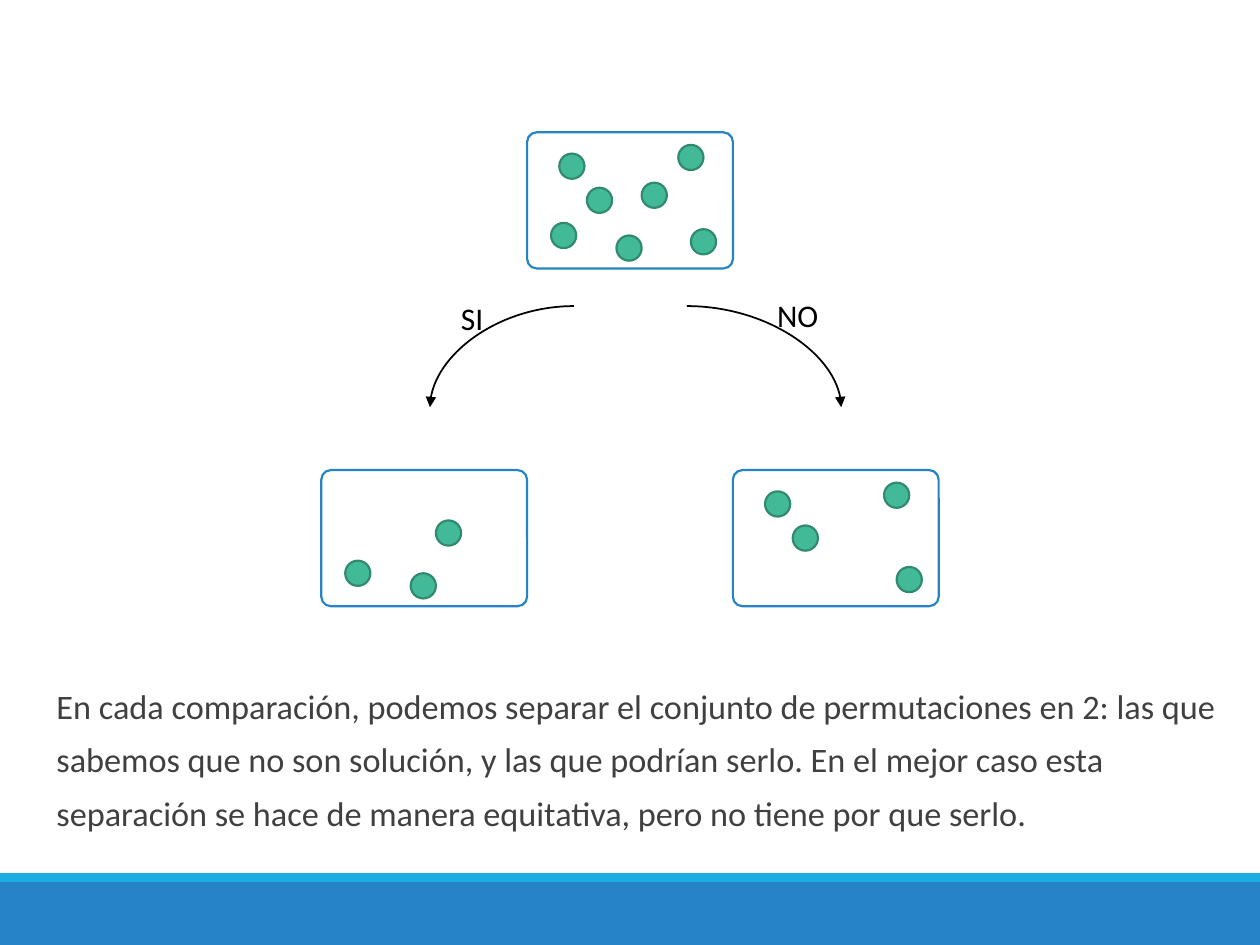
from lxml import etree
from pptx import Presentation
from pptx.dml.color import RGBColor
from pptx.enum.shapes import MSO_CONNECTOR, MSO_SHAPE
from pptx.enum.text import MSO_ANCHOR, MSO_AUTO_SIZE
from pptx.oxml.ns import qn
from pptx.util import Pt

RECT, ROUND, OVAL = MSO_SHAPE.RECTANGLE, MSO_SHAPE.ROUNDED_RECTANGLE, MSO_SHAPE.OVAL
CURVE = MSO_CONNECTOR.CURVE
BOTTOM, TOP = MSO_ANCHOR.BOTTOM, MSO_ANCHOR.TOP

THEME = {
    "font": "Calibri", "label_size": 18, "body_size": 19.6,
    "band": "2683C6", "stripe": "1CADE4", "box": "FFFFFF", "box_line": "2683C6",
    "dot": "42BA97", "dot_line": "318A70", "ink": "000000", "body": "404040",
    "outline": 1.25, "arrow": 1,
}

SLIDE_W, SLIDE_H = 720, 540
BOX_W, BOX_H, DOT = 117.6, 77.8, 14.4

# Each permutation keeps its place inside whichever set it falls in.
PERMUTATIONS = {
    "A": (13.7, 51.8), "B": (34.2, 31.7), "C": (65.5, 28.8), "D": (93.6, 55.4),
    "E": (18.4, 12.2), "F": (51.1, 59), "G": (86.4, 7.2),
}
# columns from the slide centre, top, members
SETS = [(0, 75.6, "ABCDEFG"), (-1, 268.6, "ACF"), (1, 268.6, "BDEG")]
BANDS = [(504, 36, "band"), (499, 5, "stripe")]
# start x, end x
ARROWS = [(328, 245.7), (392.5, 480.7)]
ARROW_TOP, ARROW_BOTTOM = 174.9, 232.7
LABELS = [("SI", 256.3, 167.2, 27.4, 29), ("NO", 437, 165.8, 38, 29)]
BODY = (
    "En cada comparación, podemos separar el conjunto de permutaciones en 2: "
    "las que sabemos que no son solución, y las que podrían serlo. En el mejor "
    "caso esta separación se hace de manera equitativa, pero no tiene por que serlo."
)


def color(name):
    return RGBColor.from_string(THEME[name])


def add_shape(parent, kind, x, y, w, h, fill, line=None):
    sp = parent.add_shape(kind, Pt(x), Pt(y), Pt(w), Pt(h))
    sp.shadow.inherit = False
    sp.fill.solid()
    sp.fill.fore_color.rgb = color(fill)
    if line:
        sp.line.color.rgb = color(line)
        sp.line.width = Pt(THEME["outline"])
    else:
        sp.line.fill.background()
    return sp


def add_set(shapes, column, top, members):
    left = (SLIDE_W - BOX_W) / 2 + column * BOX_W
    group = shapes.add_group_shape().shapes
    box = add_shape(group, ROUND, left, top, BOX_W, BOX_H, "box", "box_line")
    box.adjustments[0] = 0.07
    for name in members:
        dx, dy = PERMUTATIONS[name]
        add_shape(group, OVAL, left + dx, top + dy, DOT, DOT, "dot", "dot_line")


def add_arrow(shapes, start, end):
    """Quarter-turn curve that leaves sideways and arrives pointing down."""
    line = shapes.add_connector(CURVE, Pt(start), Pt(ARROW_TOP), Pt(end), Pt(ARROW_BOTTOM))
    line.line.color.rgb = color("ink")
    line.line.width = Pt(THEME["arrow"])
    props = line._element.spPr
    props.find(qn("a:prstGeom")).set("prst", "curvedConnector2")
    etree.SubElement(props.find(qn("a:ln")), qn("a:tailEnd"), type="triangle")
    etree.SubElement(props, qn("a:effectLst"))


def add_text(shapes, text, x, y, w, h, size, ink, frame, paragraph=()):
    tf = shapes.add_textbox(Pt(x), Pt(y), Pt(w), Pt(h)).text_frame
    p = tf.paragraphs[0]
    r = p.add_run()
    r.text = text
    font = {"name": THEME["font"], "size": Pt(THEME[size])}
    for target, values in ((tf, frame), (p, dict(paragraph)), (r.font, font)):
        for key, value in values.items():
            setattr(target, key, value)
    r.font.color.rgb = color(ink)
    return p


def main():
    prs = Presentation()
    prs.slide_width, prs.slide_height = Pt(SLIDE_W), Pt(SLIDE_H)
    shapes = prs.slides.add_slide(prs.slide_layouts[6]).shapes

    for top, height, fill in BANDS:
        add_shape(shapes, RECT, 0, top, SLIDE_W, height, fill)
    for column, top, members in SETS:
        add_set(shapes, column, top, members)
    for start, end in ARROWS:
        add_arrow(shapes, start, end)

    label_frame = {"word_wrap": False, "auto_size": MSO_AUTO_SIZE.SHAPE_TO_FIT_TEXT,
                   "vertical_anchor": TOP}
    for text, *place in LABELS:
        add_text(shapes, text, *place, "label_size", "ink", label_frame)

    body_frame = {"word_wrap": True, "vertical_anchor": BOTTOM, "margin_right": Pt(4)}
    p = add_text(shapes, BODY, 18, 362.2, 684, 117.4, "body_size", "body", body_frame,
                 {"line_spacing": 1.3, "space_after": Pt(2)})
    p._p.get_or_add_pPr().set("marL", str(Pt(7.2)))

    prs.save("out.pptx")


if __name__ == "__main__":
    main()
